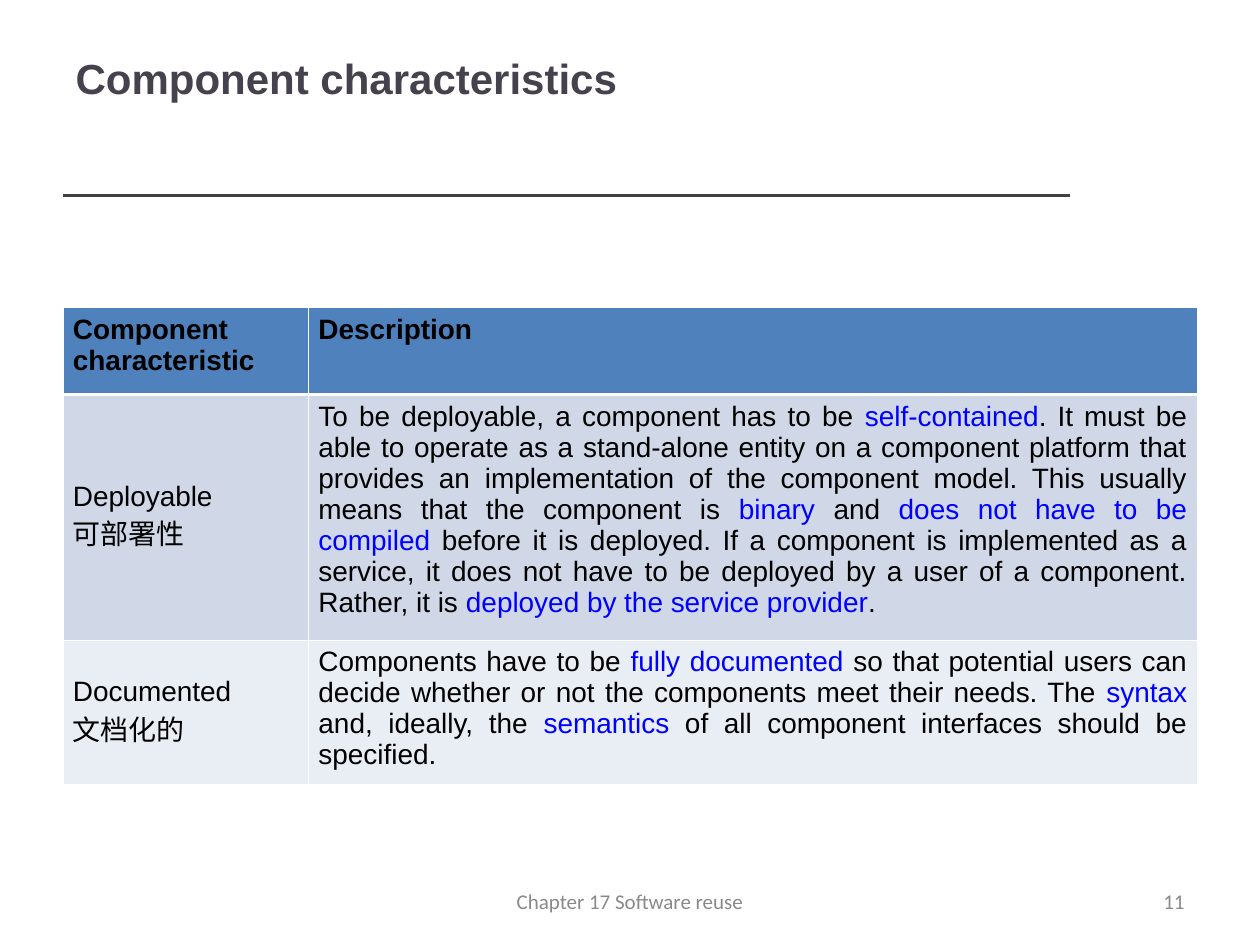
from dataclasses import dataclass

from lxml import etree
from pptx import Presentation
from pptx.dml.color import RGBColor as Rgb
from pptx.enum import shapes, text
from pptx.oxml import ns
from pptx.util import Cm, Pt


@dataclass(frozen=True)
class Theme:
    title: str = "46424D"
    rule: str = "404040"
    ink: str = "000000"
    mark: str = "0000FF"
    foot: str = "898989"
    edge: str = "FFFFFF"
    fills: tuple = ("4F81BD", "D0D8E8", "E9EDF4")
    face: str = "Arial"
    foot_face: str = "Calibri"
    title_size: int = 24
    cell_size: int = 16
    foot_size: int = 12
    thin: float = 0.45
    thick: float = 1.47


theme = Theme()
align = text.PP_ALIGN
anchor = text.MSO_ANCHOR


def write(para, words, color, side, **form):
    """Fill a paragraph; the parts between asterisks get the mark colour."""
    para.alignment = side
    for i, part in enumerate(words.split("*")):
        if part:
            run = para.add_run()
            run.text = part
            for key, val in form.items():
                setattr(run.font, key, val)
            run.font.color.rgb = Rgb.from_string(theme.mark if i % 2 else color)


def edge(cell, tag, width):
    """Draw one border of a cell; call before the cell is filled."""
    line = etree.SubElement(cell._tc.get_or_add_tcPr(), ns.qn("a:" + tag),
                            w=str(Pt(width)))
    fill = etree.SubElement(line, ns.qn("a:solidFill"))
    etree.SubElement(fill, ns.qn("a:srgbClr"), val=theme.edge)


deck = Presentation()
deck.slide_width, deck.slide_height = Cm(25.4), Cm(19.05)
slide = deck.slides.add_slide(deck.slide_layouts[5])
left, wide = Cm(1.27), Cm(22.86)

# Title and rule
rule = slide.shapes.add_connector(
    shapes.MSO_CONNECTOR.STRAIGHT, left, Cm(3.94), Cm(21.56), Cm(3.94))
rule.line.color.rgb = Rgb.from_string(theme.rule)
rule.line.width = Pt(2)
etree.SubElement(rule._element.spPr, ns.qn("a:effectLst"))

title = slide.shapes.title
place = dict(left=left, top=Cm(0), width=wide, height=Cm(3.15))
for key, val in place.items():
    setattr(title, key, val)
title.text_frame.vertical_anchor = anchor.MIDDLE
write(title.text_frame.paragraphs[0], "Component characteristics", theme.title,
      align.LEFT, name=theme.face, size=Pt(theme.title_size), bold=True)

# Table: each cell is a list of paragraphs
rows = [
    (["Component characteristic"], ["Description"]),
    (["Deployable", "可部署性"],
     ["To be deployable, a component has to be *self-contained*. It must be "
      "able to operate as a stand-alone entity on a component platform that "
      "provides an implementation of the component model. This usually means "
      "that the component is *binary* and *does not have to be compiled* "
      "before it is deployed. If a component is implemented as a service, it "
      "does not have to be deployed by a user of a component. Rather, it is "
      "*deployed by the service provider*."]),
    (["Documented", "文档化的"],
     ["Components have to be *fully documented *so that potential users can "
      "decide whether or not the components meet their needs. The *syntax* "
      "and, ideally, the *semantics* of all component interfaces should be "
      "specified."]),
]
high = [Cm(1.75), Cm(4.95), Cm(2.92)]
grid = slide.shapes.add_table(len(rows), 2, left, Cm(6.2), wide, sum(high)).table
for col, width in zip(grid.columns, (Cm(4.95), Cm(17.91))):
    col.width = width

for r, row in enumerate(rows):
    grid.rows[r].height = high[r]
    for c, paras in enumerate(row):
        cell = grid.cell(r, c)
        inset = dict(margin_left=Cm(0.2), margin_right=Cm(0.2),
                     margin_top=Cm(0.13), margin_bottom=Cm(0.13))
        for key, val in inset.items():
            setattr(cell, key, val)
        cell.vertical_anchor = anchor.MIDDLE if r and not c else anchor.TOP
        for tag in ("lnL", "lnR", "lnT", "lnB"):
            heavy = (r, tag) in ((0, "lnB"), (1, "lnT"))
            edge(cell, tag, theme.thick if heavy else theme.thin)
        cell.fill.solid()
        cell.fill.fore_color.rgb = Rgb.from_string(theme.fills[r])
        frame = cell.text_frame
        for i, words in enumerate(paras):
            para = frame.add_paragraph() if i else frame.paragraphs[0]
            write(para, words, theme.ink, align.JUSTIFY, name=theme.face,
                  size=Pt(theme.cell_size), bold=r == 0)

# Footer and page number
for words, x, width, side in (
        ("Chapter 17 Software reuse", Cm(8.68), Cm(8.04), align.CENTER),
        ("11", Cm(18.2), Cm(5.93), align.RIGHT)):
    frame = slide.shapes.add_textbox(x, Cm(17.66), width, Cm(1.01)).text_frame
    frame.word_wrap = True
    frame.vertical_anchor = anchor.MIDDLE
    write(frame.paragraphs[0], words, theme.foot, side,
          name=theme.foot_face, size=Pt(theme.foot_size))

deck.save("out.pptx")
